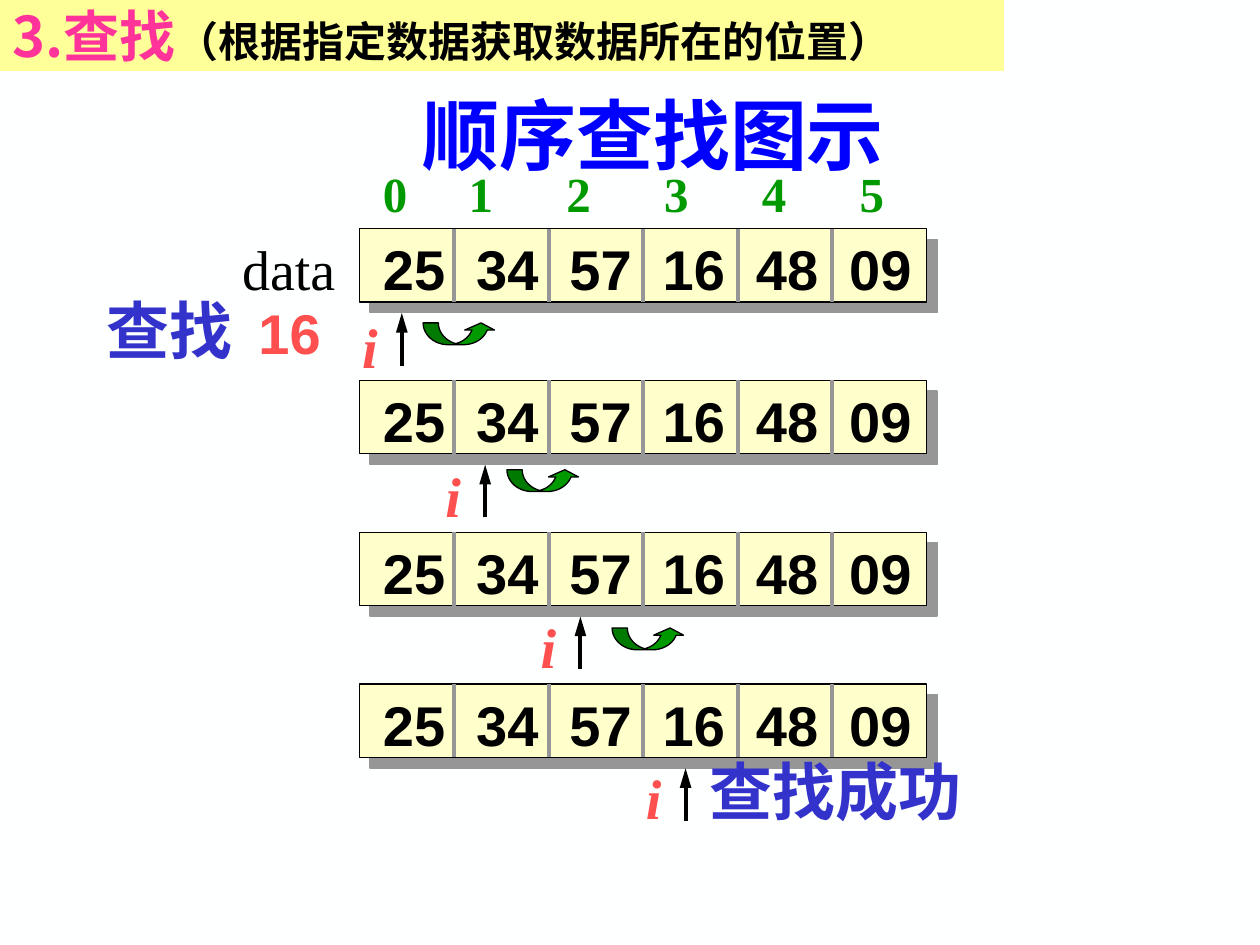
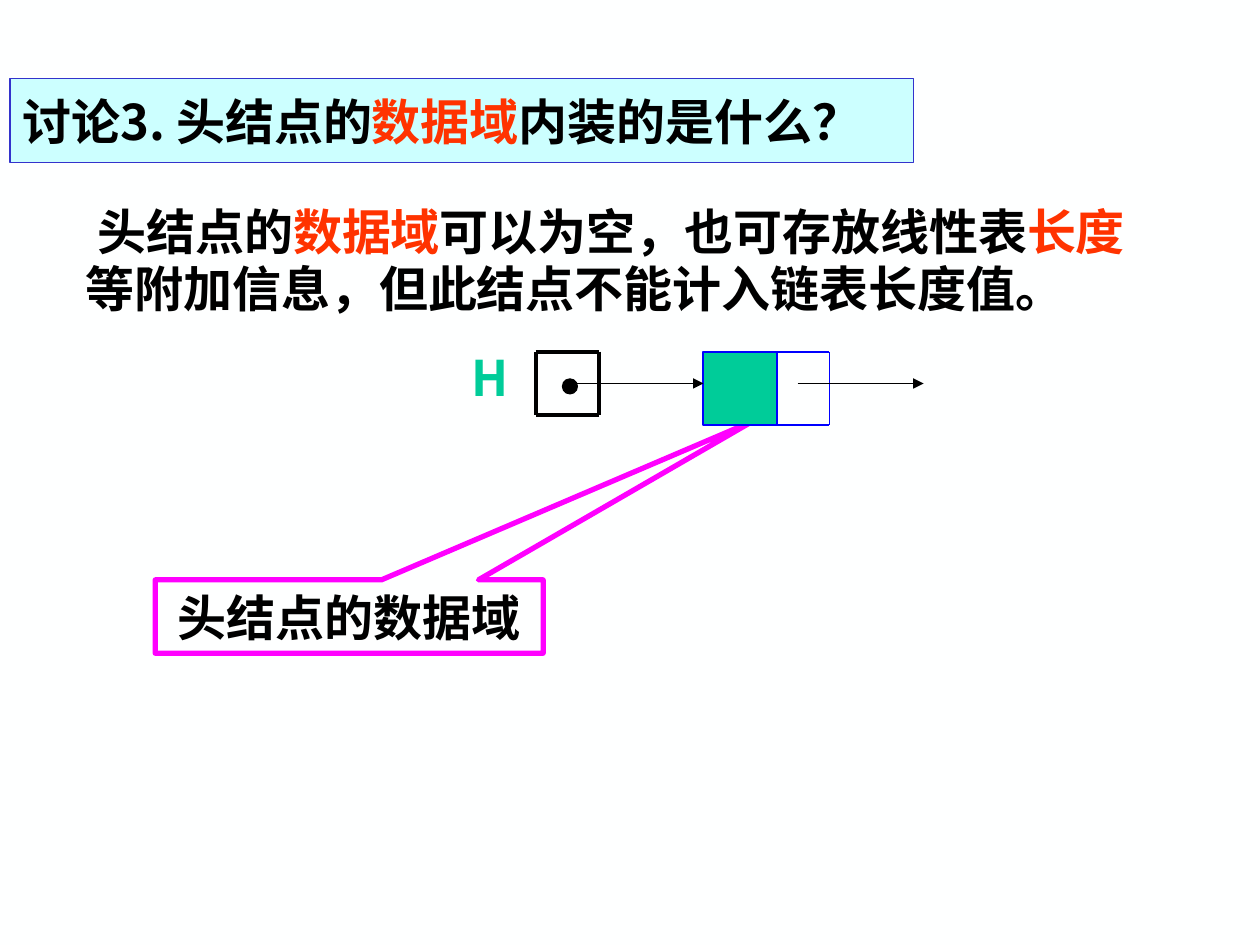
from dataclasses import dataclass

from pptx import Presentation
from pptx.dml.color import RGBColor
from pptx.enum.shapes import MSO_CONNECTOR, MSO_SHAPE
from pptx.enum.text import MSO_ANCHOR, MSO_AUTO_SIZE, PP_ALIGN
from pptx.oxml.ns import qn
from pptx.util import Cm, Pt
from lxml.etree import SubElement


@dataclass(frozen=True)
class Theme:
    cjk: str = "Noto Sans CJK SC"
    serif: str = "Times New Roman"
    sans: str = "Arial"
    paper: str = "FEFFFF"
    ink: str = "000000"
    yellow: str = "FFFF99"
    cream: str = "FFFFCC"
    ice: str = "CCFFFF"
    grey: str = "969696"
    green: str = "009900"
    teal: str = "00CC99"
    blue: str = "0000FF"
    indigo: str = "3333CC"
    pink: str = "FF3399"
    coral: str = "FF5050"
    red: str = "FF3300"
    magenta: str = "FF00FF"
    heading: int = 44
    large: int = 36
    main: int = 32
    text: int = 28
    note: int = 24


T = Theme()


# Content: each run is (text, size, colour, font, bold, italic)
def cjk(text, color=T.ink, size=T.text):
    return text, size, color, T.cjk, True, False


def serif(text, size, color, bold=True, italic=False):
    return text, size, color, T.serif, bold, italic


def sans(text, color=T.ink):
    return text, T.main, color, T.sans, True, False


SEARCH_TITLE = [cjk("3.查找", T.pink, T.main), cjk("（根据指定数据获取数据所在的位置）", size=T.note)]
SEARCH_HEADING = [serif("顺序查找图示", T.heading, T.blue)]
VALUES = ["25", "34", "57", "16", "48", "09"]
SEARCH_TARGET = [serif("查找\t", T.large, T.indigo), sans("16", T.coral)]
SEARCH_RESULT = [serif("查找成功", T.large, T.indigo)]
# Per step: x of the pointer, drop of its label, (x, drop) of the hop to the next cell
STEPS = [(8.1, 1.57, (8.53, 1.9)), (9.78, 1.5, (10.22, 1.8)),
         (11.7, 1.5, (12.34, 1.93)), (13.82, 1.47, None)]

HEAD_TITLE = [cjk("讨论3. 头结点的"), cjk("数据域", T.red), cjk("内装的是什么？")]
HEAD_ANSWER = [cjk("头结点的"), cjk("数据域", T.red), cjk("可以为空，也可存放线性表"),
               cjk("长度", T.red), cjk("等附加信息，但此结点不能计入链表长度值。")]
HEAD_CALLOUT = [cjk("头结点的数据域")]

# Array rows
ROW_LEFT, ROW_TOP, ROW_STEP = 7.25, 4.61, 3.06
ROW_WIDTH, ROW_HEIGHT = 11.43, 1.48
CELL = ROW_WIDTH / len(VALUES)
VALUE_TABS = [1.88 * n for n in range(1, len(VALUES))]
INDEX_TABS = [1.73 + 1.97 * n for n in range(len(VALUES) - 1)]

# Linked nodes
NODE_TOP, NODE_SIZE, LINK_Y = 7.09, 1.48, 7.73


# Drawing helpers
def rgb(color):
    return RGBColor.from_string(color)


def write(shape, runs, align=PP_ALIGN.LEFT, anchor=MSO_ANCHOR.TOP, tabs=()):
    frame = shape.text_frame
    frame.word_wrap = True
    frame.auto_size = MSO_AUTO_SIZE.NONE
    frame.vertical_anchor = anchor
    para = frame.paragraphs[0]
    if tabs:
        stops = SubElement(para._p.get_or_add_pPr(), qn("a:tabLst"))
        for stop in tabs:
            SubElement(stops, qn("a:tab"), pos=str(Cm(stop)), algn="l")
    para.alignment = align
    for text, size, color, face, bold, italic in runs:
        span = para.add_run()
        span.text = text
        font = span.font
        font.size, font.bold, font.italic, font.name = Pt(size), bold, italic, face
        font.color.rgb = rgb(color)
        SubElement(span._r.get_or_add_rPr(), qn("a:ea"), typeface=T.cjk)
    return para


def place(shape, at):
    shape.left, shape.top, shape.width, shape.height = map(Cm, at)


def paint(shape, fill=None, line=None, weight=0.75):
    if fill:
        shape.fill.solid()
        shape.fill.fore_color.rgb = rgb(fill)
    else:
        shape.fill.background()
    if line:
        shape.line.color.rgb = rgb(line)
        shape.line.width = Pt(weight)
    else:
        shape.line.fill.background()


def add_box(page, kind, at, fill=None, line=None, weight=0.75):
    shape = page.shapes.add_shape(kind, *map(Cm, at))
    shape.shadow.inherit = False
    paint(shape, fill, line, weight)
    return shape


def add_text(page, at, runs, **options):
    write(page.shapes.add_textbox(*map(Cm, at)), runs, **options)


def add_line(page, start, end, color, weight, head=None):
    """Straight line; head is the arrowhead length, if any."""
    line = page.shapes.add_connector(MSO_CONNECTOR.STRAIGHT, *map(Cm, start + end))
    line.line.color.rgb = rgb(color)
    line.line.width = Pt(weight)
    if head:
        SubElement(line.line._get_or_add_ln(), qn("a:tailEnd"),
                   type="triangle", w="med", len=head)
    SubElement(line._element.spPr, qn("a:effectLst"))


def add_frame(page, left, top, width, height, color, weight):
    """Open cell drawn as four lines."""
    right, bottom = left + width, top + height
    for y in (top, bottom):
        add_line(page, (left, y), (right, y), color, weight)
    for x in (left, right):
        add_line(page, (x, top), (x, bottom), color, weight)


def add_page(deck, layout, title, at, fill, line=None):
    """New slide whose title is a coloured band."""
    page = deck.slides.add_slide(deck.slide_layouts[layout])
    place(page.shapes.title, at)
    paint(page.shapes.title, fill, line)
    write(page.shapes.title, title, anchor=MSO_ANCHOR.MIDDLE)
    return page


def add_array(page, top):
    row = add_box(page, MSO_SHAPE.RECTANGLE, (ROW_LEFT, top, ROW_WIDTH, ROW_HEIGHT),
                  T.cream, T.ink)
    shadow = SubElement(row._element.spPr.find(qn("a:effectLst")), qn("a:outerShdw"),
                        dist=str(Pt(8.5)), dir="2700000", algn="ctr", rotWithShape="0")
    SubElement(shadow, qn("a:srgbClr"), val=T.grey)
    add_text(page, (ROW_LEFT + 0.22, top, ROW_WIDTH, 1.63),
             [sans("\t".join(VALUES))], tabs=VALUE_TABS)
    for n in range(1, len(VALUES)):
        x = ROW_LEFT + n * CELL
        add_line(page, (x, top), (x, top + ROW_HEIGHT), T.grey, 2.25)


def add_pointer(page, x, top, label_drop):
    add_line(page, (x, top + 2.76), (x, top + 1.7), T.ink, 2.25, head="lg")
    add_text(page, (x - 1.05, top + label_drop, 1, 1.63),
             [serif("i", T.main, T.coral, italic=True)])


def add_hop(page, x, y):
    hop = add_box(page, MSO_SHAPE.CURVED_UP_ARROW, (x, y, 1.47, 0.44), T.green, T.ink)
    for n, value in enumerate((0.7, 1.37, 0.33)):
        hop.adjustments[n] = value


# Slides
def build_search(deck):
    page = add_page(deck, 5, SEARCH_TITLE, (0, 0, 20.24, 1.43), T.yellow)
    add_text(page, (7.24, 1.65, 11.86, 2.11), SEARCH_HEADING,
             align=PP_ALIGN.CENTER, anchor=MSO_ANCHOR.MIDDLE)
    indexes = "\t".join(str(n) for n in range(len(VALUES)))
    add_text(page, (ROW_LEFT + 0.22, 3.17, ROW_WIDTH, 1.45),
             [serif(indexes, T.text, T.green)], tabs=INDEX_TABS)
    add_text(page, (4.63, ROW_TOP, 2.6, 1.63), [serif("data", T.main, T.ink, bold=False)])
    add_text(page, (1.9, 5.75, 5.3, 1.78), SEARCH_TARGET, tabs=[3.06])
    for n, (pointer, label_drop, hop) in enumerate(STEPS):
        top = ROW_TOP + n * ROW_STEP
        add_array(page, top)
        add_pointer(page, pointer, top, label_drop)
        if hop:
            add_hop(page, hop[0], top + hop[1])
    add_text(page, (14.05, 15.05, 6.2, 1.78), SEARCH_RESULT)


def build_head_node(deck):
    page = add_page(deck, 1, HEAD_TITLE, (0.2, 1.58, 18.21, 1.7), T.ice, T.indigo)

    # Answer paragraph without bullet
    body = page.placeholders[1]
    place(body, (1.47, 3.95, 22.23, 2.64))
    props = body.text_frame.paragraphs[0]._p.get_or_add_pPr()
    props.set("marL", "0")
    props.set("indent", str(Cm(0.24)))
    SubElement(props, qn("a:buNone"))
    para = write(body, HEAD_ANSWER)
    para.space_before = Pt(0)
    para.line_spacing = Pt(33)

    # Callout to the data field
    callout = add_box(page, MSO_SHAPE.RECTANGULAR_CALLOUT, (3.13, 11.69, 7.82, 1.48),
                      line=T.magenta, weight=3)
    callout.adjustments[0], callout.adjustments[1] = 1.04, -2.66
    write(callout, HEAD_CALLOUT, align=PP_ALIGN.CENTER, anchor=MSO_ANCHOR.MIDDLE)

    # Head pointer and head node
    add_text(page, (9.26, 6.88, 1.5, 1.45), [cjk("H", T.teal)], anchor=MSO_ANCHOR.MIDDLE)
    add_frame(page, 10.8, NODE_TOP, 1.27, 1.27, T.ink, 2.25)
    add_box(page, MSO_SHAPE.OVAL, (11.34, 7.64, 0.3, 0.3), T.ink, T.ink)
    add_box(page, MSO_SHAPE.RECTANGLE, (14.18, NODE_TOP, NODE_SIZE, NODE_SIZE),
            T.teal, T.blue, 1)
    add_frame(page, 14.18 + NODE_SIZE, NODE_TOP, 1.06, NODE_SIZE, T.blue, 1)
    for x in (11.64, 16.08):
        add_line(page, (x, LINK_Y), (x + 2.54, LINK_Y), T.ink, 0.75, head="med")


def main():
    deck = Presentation()
    deck.slide_width, deck.slide_height = Cm(25.4), Cm(19.05)
    backdrop = deck.slide_master.background.fill
    backdrop.solid()
    backdrop.fore_color.rgb = rgb(T.paper)
    build_search(deck)
    build_head_node(deck)
    deck.save("out.pptx")


if __name__ == "__main__":
    main()
